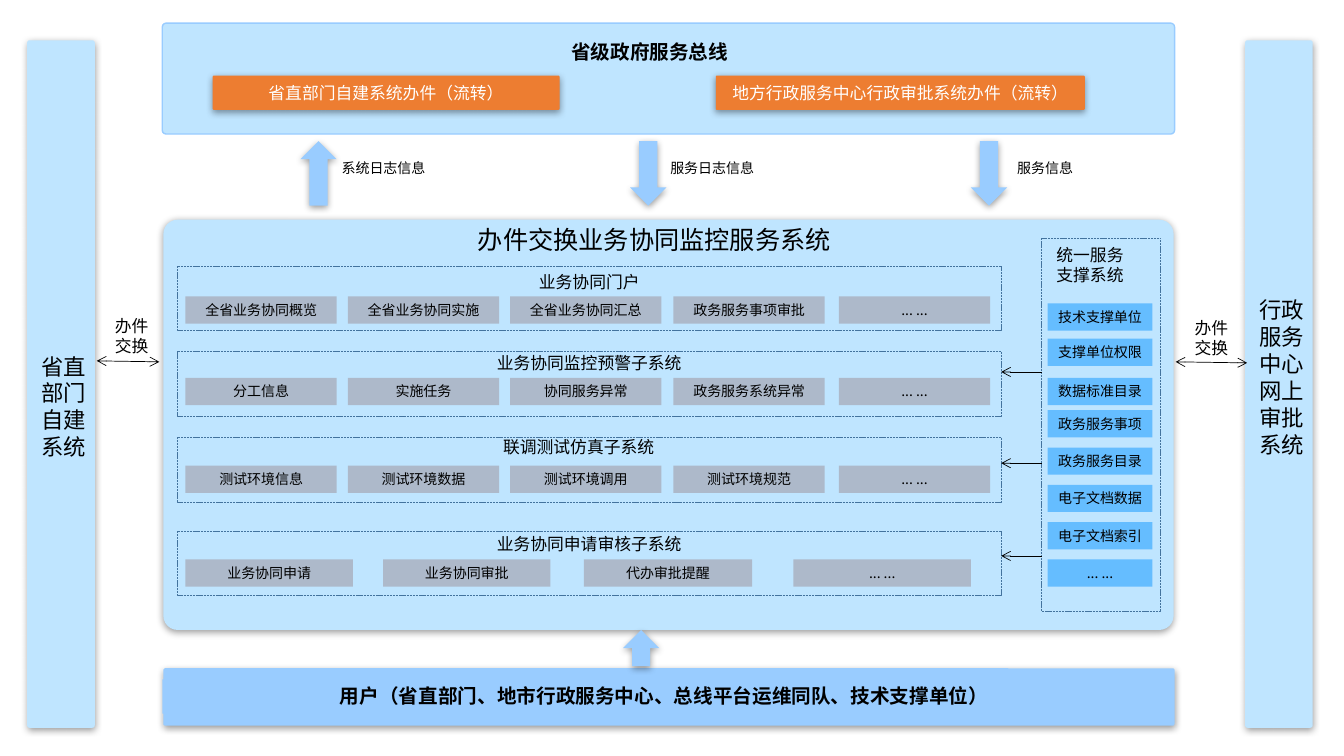
from lxml import etree
from pptx import Presentation
from pptx import util as u
from pptx.dml.color import RGBColor
from pptx.enum import dml, shapes, text
from pptx.oxml import ns

CELL = u.Inches(0.1)
CJK = "Noto Sans CJK SC"
COLORS = {
    "panel": "BFE5FF",
    "strong": "99CCFF",
    "system": "ED7D31",
    "function": "ADB9CA",
    "support": "65BDFF",
    "frame": "43739E",
    "ink": "000000",
    "light": "FFFFFF",
}
FUNCTION_COLUMNS = [(18.4, 15), (34.5, 15), (50.6, 15), (66.8, 15), (83.2, 15)]
REVIEW_COLUMNS = [(18.4, 16.6), (38, 16.6), (57.9, 16.7), (78.7, 17.6)]
SUBSYSTEMS = [
    (26.4, 29.4, (50.5, 26.5, 15.9, 3), CJK, FUNCTION_COLUMNS, "业务协同门户",
     ["全省业务协同概览", "全省业务协同实施", "全省业务协同汇总", "政务服务事项审批", "... ..."]),
    (34.9, 37.5, (48.3, 34.5, 20.3, 3), "Arial", FUNCTION_COLUMNS, "业务协同监控预警子系统",
     ["分工信息", "实施任务", "协同服务异常", "政务服务系统异常", "... ..."]),
    (43.4, 46.2, (48.9, 42.8, 17, 3), "Arial", FUNCTION_COLUMNS, "联调测试仿真子系统",
     ["测试环境信息", "测试环境数据", "测试环境调用", "测试环境规范", "... ..."]),
    (52.7, 55.5, (48.3, 52.5, 20.3, 3), "Arial", REVIEW_COLUMNS, "业务协同申请审核子系统",
     ["业务协同申请", "业务协同审批", "代办审批提醒", "... ..."]),
]
SUPPORT_ITEMS = [
    (30.1, "技术支撑单位"), (33.6, "支撑单位权限"), (37.5, "数据标准目录"),
    (40.7, "政务服务事项"), (44.4, "政务服务目录"), (48.1, "电子文档数据"),
    (51.8, "电子文档索引"), (55.5, "... ..."),
]
EXCHANGES = [
    ("系统日志信息", shapes.MSO_SHAPE.UP_ARROW, 29.8, 32.9, 10.3),
    ("服务日志信息", shapes.MSO_SHAPE.DOWN_ARROW, 62.5, 65.5, 10.3),
    ("服务信息", shapes.MSO_SHAPE.DOWN_ARROW, 96.3, 99.9, 7.6),
]
PILLARS = [
    (2.7, (3.1, 34.5, 6.4, 11.8), "省直\n部门\n自建\n系统"),
    (123.5, (123.9, 28.9, 6.4, 17.2), "行政\n服务\n中心\n网上\n审批\n系统"),
]


def grid(*cells):
    return [u.Emu(round(cell * CELL)) for cell in cells]


def rgb(name):
    return RGBColor.from_string(COLORS[name])


def write(holder, words, size=12, color="ink", font=CJK, bold=False,
          align="CENTER", anchor="TOP", wrap=True):
    frame = holder.text_frame
    frame.word_wrap = wrap
    frame.auto_size = text.MSO_AUTO_SIZE.NONE
    frame.vertical_anchor = text.MSO_ANCHOR[anchor]
    frame.text = words
    for line in frame.paragraphs:
        line.alignment = text.PP_ALIGN[align]
        line.line_spacing = u.Pt(size * 1.2)
        line.space_before = u.Pt(0)
        for run in line.runs:
            run.font.size = u.Pt(size)
            run.font.bold = bold
            run.font.name = font
            run.font.color.rgb = rgb(color)
            etree.SubElement(run.font._element, ns.qn("a:ea"), typeface=CJK)


def add_shadow(block):
    effects = block.element.spPr.find(ns.qn("a:effectLst"))
    shade = etree.SubElement(effects, ns.qn("a:outerShdw"), blurRad=str(u.Pt(5)),
                             dist=str(u.Pt(1.6)), dir="5400000",
                             algn="t", rotWithShape="0")
    tone = etree.SubElement(shade, ns.qn("a:srgbClr"), val=COLORS["ink"])
    etree.SubElement(tone, ns.qn("a:alpha"), val="38000")


def add_block(slide, at, fill, kind=shapes.MSO_SHAPE.RECTANGLE, shadow=False):
    block = slide.shapes.add_shape(kind, *grid(*at))
    block.shadow.inherit = False
    block.fill.solid()
    block.fill.fore_color.rgb = rgb(fill)
    block.line.fill.background()
    if kind == shapes.MSO_SHAPE.ROUNDED_RECTANGLE:
        block.adjustments[0] = 0.035
    if shadow:
        add_shadow(block)
    return block


def add_panel(slide, at, fill, shadow=True):
    return add_block(slide, at, fill, shapes.MSO_SHAPE.ROUNDED_RECTANGLE, shadow)


def add_frame(slide, at):
    frame = add_block(slide, at, "panel")
    frame.fill.background()
    frame.line.color.rgb = rgb("frame")
    frame.line.width = u.Pt(0.5)
    frame.line.dash_style = dml.MSO_LINE.SQUARE_DOT


def add_label(slide, at, words, **style):
    label = slide.shapes.add_textbox(*grid(*at))
    write(label, words, **{"font": "Arial", "align": "LEFT", "wrap": False, **style})


def add_arrow(slide, ends, both=False):
    arrow = slide.shapes.add_connector(shapes.MSO_CONNECTOR.STRAIGHT, *grid(*ends))
    arrow.line.color.rgb = rgb("ink")
    arrow.line.width = u.Pt(0.5)
    outline = arrow.line._get_or_add_ln()
    for tip in ("headEnd", "tailEnd") if both else ("tailEnd",):
        etree.SubElement(outline, ns.qn(f"a:{tip}"), type="arrow")
    etree.SubElement(arrow._element.spPr, ns.qn("a:effectLst"))


def add_service_bus(slide):
    bus = add_panel(slide, (16.1, 2.3, 100.4, 11), "panel", shadow=False)
    bus.line.color.rgb = rgb("strong")
    bus.line.width = u.Pt(1)
    heading = add_block(slide, (50.6, 3.5, 27.7, 3.4), "panel")
    write(heading, "省级政府服务总线", size=14, bold=True)
    for col, cols, words in [(21.1, 34.4, "省直部门自建系统办件（流转）"),
                             (71, 36.6, "地方行政服务中心行政审批系统办件（流转）")]:
        system = add_panel(slide, (col, 7.5, cols, 3.4), "system")
        write(system, words, color="light", anchor="MIDDLE")
    for words, kind, col, label_col, label_cols in EXCHANGES:
        add_block(slide, (col, 14, 3.6, 6.4), "strong", kind, shadow=True)
        add_label(slide, (label_col, 15.3, label_cols, 2.7), words, size=10)


def add_users(slide):
    add_panel(slide, (16.2, 66.3, 100.3, 5.7), "strong", shadow=True)
    users = add_block(slide, (16.1, 67.4, 99.6, 3.4), "strong")
    write(users, "用户（省直部门、地市行政服务中心、总线平台运维同队、技术支撑单位）",
          size=14, bold=True)
    add_block(slide, (61.8, 62.5, 3.6, 3.6), "strong",
              shapes.MSO_SHAPE.UP_ARROW, shadow=True)


def add_monitoring(slide):
    add_panel(slide, (16.2, 21.8, 100.2, 40.7), "panel")
    title = slide.shapes.title
    slide.shapes.element.append(title.element)
    title.left, title.top, title.width, title.height = grid(46.4, 21.8, 39, 4)
    write(title, "办件交换业务协同监控服务系统", size=18, font="Arial", align="LEFT")
    for frame_row, function_row, heading_at, font, columns, heading, functions in SUBSYSTEMS:
        add_frame(slide, (17.6, frame_row, 81.7, 6.4))
        add_label(slide, heading_at, heading, font=font, align="CENTER")
        for (col, cols), words in zip(columns, functions):
            function = add_block(slide, (col, function_row, cols, 2.7), "function")
            write(function, words, size=10)


def add_support(slide):
    add_frame(slide, (103.3, 23.6, 11.8, 37.1))
    add_label(slide, (103.8, 23.8, 8.7, 5), "统一服务\n支撑系统")
    for row, words in SUPPORT_ITEMS:
        item = add_block(slide, (103.9, row, 10.4, 2.7), "support")
        write(item, words, size=10)
    for row in (36.9, 45.95, 55.15):
        add_arrow(slide, (103.3, row, 99.3, row))


def add_pillars(slide):
    for col, words_at, words in PILLARS:
        add_panel(slide, (col, 4, 6.7, 68.2), "panel")
        add_label(slide, words_at, words, size=16)
    for label_col, label_row, ends in [(10.4, 30.8, (9.6, 35.8, 15.8, 35.9)),
                                       (117.5, 31, (116.6, 35.9, 123.7, 36))]:
        add_label(slide, (label_col, label_row, 5.3, 5), "办件\n交换")
        add_arrow(slide, ends, both=True)


def main():
    deck = Presentation()
    deck.slide_width, deck.slide_height = u.Inches(13.33), u.Inches(7.5)
    slide = deck.slides.add_slide(deck.slide_layouts[5])
    add_service_bus(slide)
    add_monitoring(slide)
    add_users(slide)
    add_support(slide)
    add_pillars(slide)
    deck.save("out.pptx")


if __name__ == "__main__":
    main()
